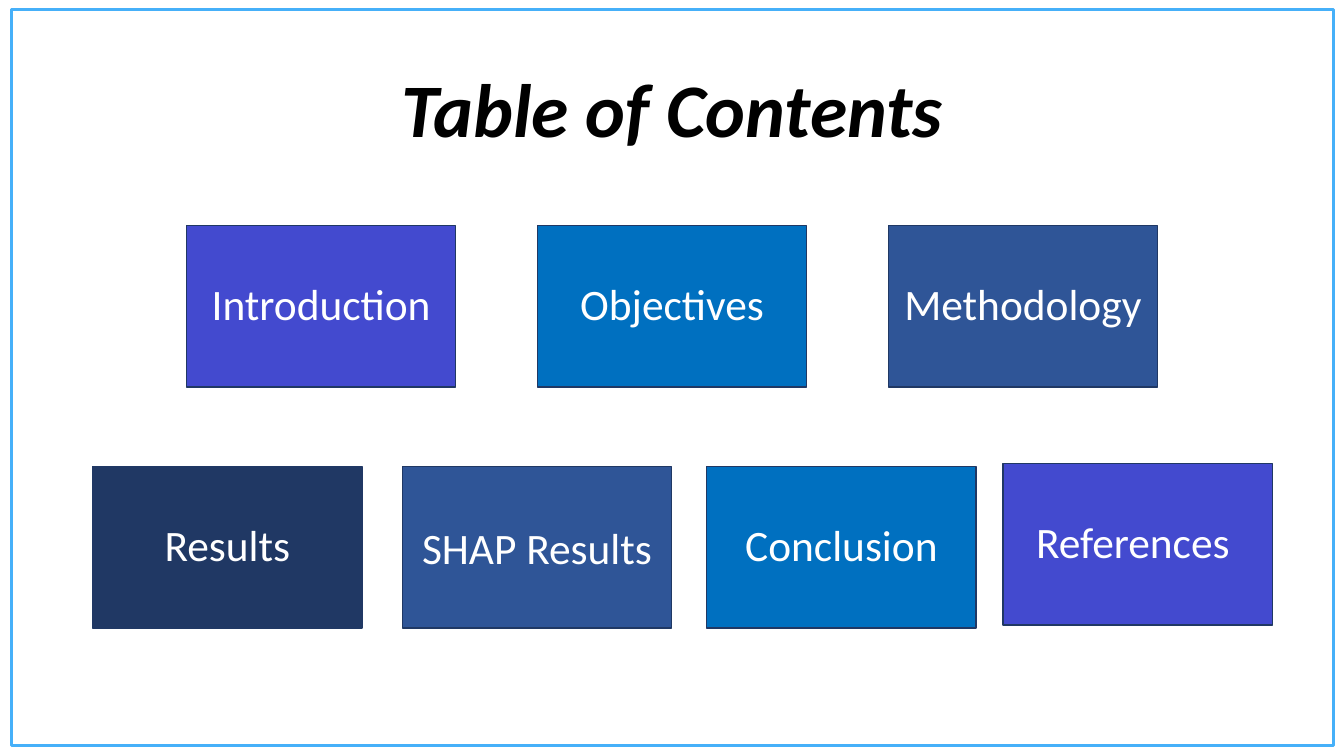
from pptx import Presentation
from pptx.dml.color import RGBColor
from pptx.enum import shapes, text
from pptx.util import Inches, Pt

BLACK = RGBColor(0, 0, 0)
WHITE = RGBColor(255, 255, 255)
SKY = RGBColor(0x46, 0xB0, 0xF9)
VIOLET = RGBColor(0x43, 0x4A, 0xCF)
BLUE = RGBColor(0x00, 0x70, 0xC0)
STEEL = RGBColor(0x2F, 0x55, 0x97)
NAVY = RGBColor(0x20, 0x38, 0x64)

TITLE = "Table of Contents"
FONT = "Calibri"
WIDE, HIGH, PAD = 2.67, 1.6, 0.13
UPPER, LOWER = 2.24, 4.63
LEFT, STEP = 1.85, 3.48
TOPICS = [
    ("Introduction", VIOLET, LEFT, UPPER, PAD),
    ("Objectives", BLUE, LEFT + STEP, UPPER, PAD),
    ("Methodology", STEEL, LEFT + 2 * STEP, UPPER, PAD),
    ("Results", NAVY, 0.92, LOWER, PAD),
    ("SHAP Results", STEEL, 3.99, LOWER, PAD + 0.06),
    ("Conclusion", BLUE, 7.01, LOWER, PAD),
    ("References ", VIOLET, 9.95, 4.6, PAD),
]


def add_box(slide, left, top, width, height, line, weight):
    box = slide.shapes.add_shape(
        shapes.MSO_SHAPE.RECTANGLE,
        Inches(left), Inches(top), Inches(width), Inches(height))
    box.shadow.inherit = False
    box.line.color.rgb = line
    box.line.width = Pt(weight)
    return box


def write(frame, words, size, color):
    frame.word_wrap = True
    frame.vertical_anchor = text.MSO_ANCHOR.MIDDLE
    para = frame.paragraphs[0]
    para.text = words
    para.alignment = text.PP_ALIGN.CENTER
    para.line_spacing = 0.9
    para.font.name = FONT
    para.font.size = Pt(size)
    para.font.color.rgb = color
    return para


def main():
    deck = Presentation()
    deck.slide_width, deck.slide_height = Inches(13.33), Inches(7.5)
    slide = deck.slides.add_slide(deck.slide_layouts[6])

    border = add_box(slide, 0.11, 0.09, 13.12, 7.31, SKY, 2.25)
    border.fill.background()

    title = slide.shapes.add_textbox(
        Inches(0.92), Inches(0.4), Inches(11.5), Inches(1.45))
    para = write(title.text_frame, TITLE, 54, BLACK)
    para.font.bold = para.font.italic = True
    para.space_after = Pt(6)

    for words, fill, left, top, inset in TOPICS:
        box = add_box(slide, left, top, WIDE, HIGH, NAVY, 1)
        box.fill.solid()
        box.fill.fore_color.rgb = fill
        frame = box.text_frame
        frame.margin_left = frame.margin_right = Inches(PAD)
        frame.margin_top, frame.margin_bottom = Inches(inset), Inches(PAD)
        write(frame, words, 31, WHITE)

    deck.save("out.pptx")


if __name__ == "__main__":
    main()
